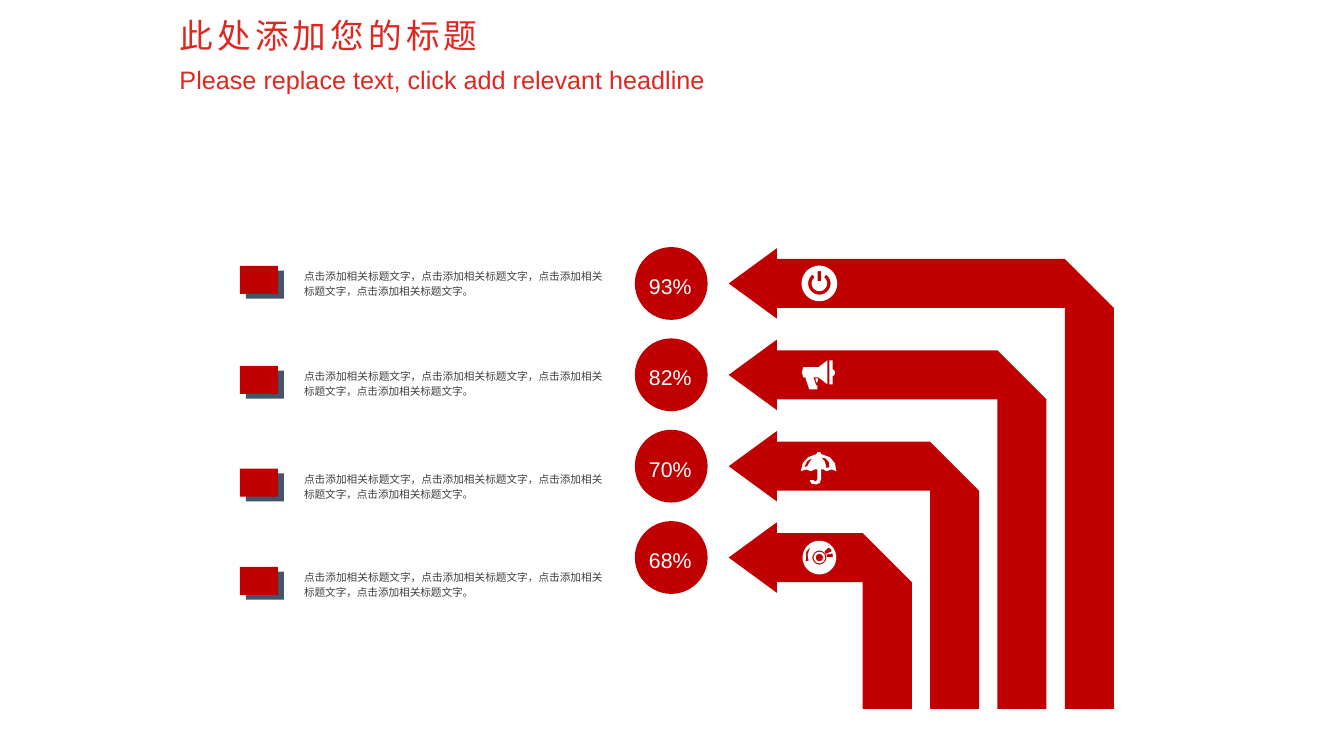
import math
from dataclasses import dataclass

import pptx
import pptx.dml.color
import pptx.enum.shapes
import pptx.enum.text
import pptx.shapes.base
import pptx.slide
import pptx.text.text
import pptx.util

Pt = pptx.util.Pt
Align = pptx.enum.text.PP_ALIGN
Anchor = pptx.enum.text.MSO_ANCHOR
Preset = pptx.enum.shapes.MSO_SHAPE
Contour = list[tuple[float, float]]

RED, TITLE_RED, SLATE, GREY, WHITE = "C00000", "DF2720", "44546A", "404040", "FFFFFF"
DESCRIPTION = "点击添加相关标题文字，" * 3 + "点击添加相关标题文字。"

# Rows share one vertical step, columns one horizontal step
FIRST_ROW_Y, ROW_STEP = 202.5, 65.25
FIRST_RIGHT, COLUMN_STEP = 795.6, 48.1
ARROW_TIP, ARROW_NECK, ARROW_BOTTOM = 520.5, 555, 506.3
HEAD_HALF, SHAFT_HALF = 25.2, 17.5
ICON_X, CIRCLE_X, CIRCLE_SIZE = 585.3, 453.5, 52


@dataclass
class Row:
    percent: str
    marker_top: float
    icon: list[Contour]


def arc(radius: float, start: float = 0, end: float = 355) -> Contour:
    """Points on a circle around the icon's centre, every five degrees or so."""
    count = round((end - start) / 5)
    angles = [math.radians(start + (end - start) * i / count) for i in range(count + 1)]
    return [(radius * math.cos(a), radius * math.sin(a)) for a in angles]


def rgb(color: str) -> pptx.dml.color.RGBColor:
    return pptx.dml.color.RGBColor.from_string(color)


def paint(shape: pptx.shapes.base.BaseShape, color: str) -> None:
    shape.shadow.inherit = False
    shape.fill.solid()
    shape.fill.fore_color.rgb = rgb(color)
    shape.line.fill.background()


def add_preset(slide: pptx.slide.Slide, preset: Preset, left: float, top: float,
               width: float, height: float, color: str) -> None:
    paint(slide.shapes.add_shape(preset, Pt(left), Pt(top), Pt(width), Pt(height)), color)


def add_outline(slide: pptx.slide.Slide, contours: list[Contour], color: str,
                x: float = 0, y: float = 0) -> None:
    placed = [[(Pt(x + dx), Pt(y + dy)) for dx, dy in contour] for contour in contours]
    builder = slide.shapes.build_freeform(*placed[0][0])
    for index, contour in enumerate(placed):
        if index:
            builder.move_to(*contour[0])
        builder.add_line_segments(contour[1:], close=True)
    paint(builder.convert_to_shape(), color)


def write(shape: pptx.shapes.base.BaseShape, text: str, size: float, color: str,
          align: Align, spacing: float = 1.2, wrap: bool = True,
          anchor: Anchor = Anchor.TOP) -> pptx.text.text._Run:
    frame = shape.text_frame
    frame.text = text
    frame.word_wrap = wrap
    frame.auto_size = pptx.enum.text.MSO_AUTO_SIZE.NONE
    frame.vertical_anchor = anchor
    paragraph = frame.paragraphs[0]
    paragraph.alignment = align
    paragraph.line_spacing = spacing
    paragraph.space_before = Pt(0)
    run = paragraph.runs[0]
    run.font.name = "Arial"
    run.font.size = Pt(size)
    run.font.color.rgb = rgb(color)
    return run


def place(shape: pptx.shapes.base.BaseShape, left: float, top: float,
          width: float, height: float) -> None:
    shape.left, shape.top = Pt(left), Pt(top)
    shape.width, shape.height = Pt(width), Pt(height)


def add_headings(slide: pptx.slide.Slide) -> None:
    title, subtitle = slide.shapes.title, slide.placeholders[1]
    place(title, 121, 2.9, 607.7, 38.9)
    run = write(title, "此处添加您的标题", 24, TITLE_RED, Align.LEFT, anchor=Anchor.MIDDLE)
    run._r.get_or_add_rPr().set("spc", "300")
    place(subtitle, 121, 42.5, 393, 29)
    write(subtitle, "Please replace text, click add relevant headline", 18, TITLE_RED,
          Align.LEFT, spacing=1.0, wrap=False)


def add_row(slide: pptx.slide.Slide, index: int, row: Row) -> None:
    y = FIRST_ROW_Y + index * ROW_STEP
    right = FIRST_RIGHT - index * COLUMN_STEP
    inner = right - 2 * SHAFT_HALF
    upper, lower = y - SHAFT_HALF, y + SHAFT_HALF

    # Percentage in a circle
    add_preset(slide, Preset.OVAL, CIRCLE_X, y - CIRCLE_SIZE / 2, CIRCLE_SIZE, CIRCLE_SIZE, RED)
    box = slide.shapes.add_textbox(Pt(456.5), Pt(y - 14.6), Pt(45.4), Pt(27.4))
    write(box, row.percent, 15.2, WHITE, Align.JUSTIFY, wrap=False)

    # Bent arrow and its icon
    add_outline(slide, [[
        (ARROW_NECK, y - HEAD_HALF), (ARROW_NECK, upper), (inner, upper), (right, lower),
        (right, ARROW_BOTTOM), (inner, ARROW_BOTTOM), (inner, lower), (ARROW_NECK, lower),
        (ARROW_NECK, y + HEAD_HALF), (ARROW_TIP, y)]], RED)
    add_outline(slide, row.icon, WHITE, ICON_X, y)

    # Marker and description
    add_preset(slide, Preset.RECTANGLE, 175.6, row.marker_top + 3.4, 27.2, 20, SLATE)
    add_preset(slide, Preset.RECTANGLE, 171.3, row.marker_top, 27.2, 20, RED)
    box = slide.shapes.add_textbox(Pt(210.1), Pt(row.marker_top - 2.7), Pt(227.5), Pt(29.5))
    write(box, DESCRIPTION, 7.6, GREY, Align.JUSTIFY)


# Icons, as contours around their centre; inner contours are holes
POWER = [
    arc(12.7),
    [(-1.2, -8.8), (-1.2, -1.6), (1.2, -1.6), (1.2, -8.8)],
    arc(8, -53, 233) + arc(5.5, -53, 233)[::-1],
]
MEGAPHONE = [
    [(-11.5, -5.4), (-0.7, -5.4), (5.8, -10.4), (5.8, 6.8), (-0.7, 1.8), (-4.3, 1.8),
     (-2.2, 7.6), (-1.4, 7.6), (-1.4, 10.4), (-7.2, 10.4), (-10.1, 1.8), (-11.5, 1.8),
     (-12.5, -1.8)],
    [(9.4, -4), (10.7, -3.2), (11.2, -1.6), (10.7, 0.2), (9.4, 1.1), (9.4, 6.8),
     (7.2, 6.8), (7.2, -10.4), (9.4, -10.4)],
    [(-0.7, 2.5), (-2.9, 2.5), (-2.2, 5.4), (-1.4, 5.4), (-1.4, 4.7)],
]
UMBRELLA = [
    [(-4, 10), (-2.9, 11), (-1.8, 10.2), (-1.4, 9), (-1.4, 2.2), (-3.6, 2.3), (-5.8, 3.6),
     (-9.5, 2.3), (-13.3, 3.6), (-11.8, -2.2), (-8, -6.4), (-2.2, -8.6), (-1.4, -10),
     (0.7, -10), (1.4, -8.6), (7.5, -6.4), (11, -2.2), (12.2, 3.6), (8.7, 2.3), (5, 3.6),
     (3, 2.3), (1.2, 2.2), (1.2, 9.4), (0.3, 12), (-2.2, 13), (-5.5, 12.5), (-7, 10)],
    [(5, 1.4), (7.2, 0.7), (6.8, -3), (4.8, -5.3), (1.4, -6.5), (4, -3.2)],
    [(-10.8, 0.7), (-8.6, 0), (-7, -3), (-5, -5.8), (-8.6, -3.8)],
]
DISC = [
    arc(12), arc(5), arc(4.1), arc(2.6),
    [(-6.5, -7.9), (-9.5, -4), (-9.8, 2.9), (-7.7, 2.2), (-8.4, -2)],
    [(3.6, -4.3), (4.4, -2.5), (8.7, -4.3), (8.5, -5.8), (6.5, -7.2)],
    [(9.4, -2.9), (5.1, -2.2), (5.3, -0.4), (9.6, -0.2)],
]
ROWS = [
    Row("93%", 190, POWER),
    Row("82%", 261.4, MEGAPHONE),
    Row("70%", 334.8, UMBRELLA),
    Row("68%", 405, DISC),
]


def main() -> None:
    presentation = pptx.Presentation()
    presentation.slide_width, presentation.slide_height = Pt(960), Pt(540)
    slide = presentation.slides.add_slide(presentation.slide_layouts[0])
    add_headings(slide)
    for index, row in enumerate(ROWS):
        add_row(slide, index, row)
    presentation.save("out.pptx")


if __name__ == "__main__":
    main()
